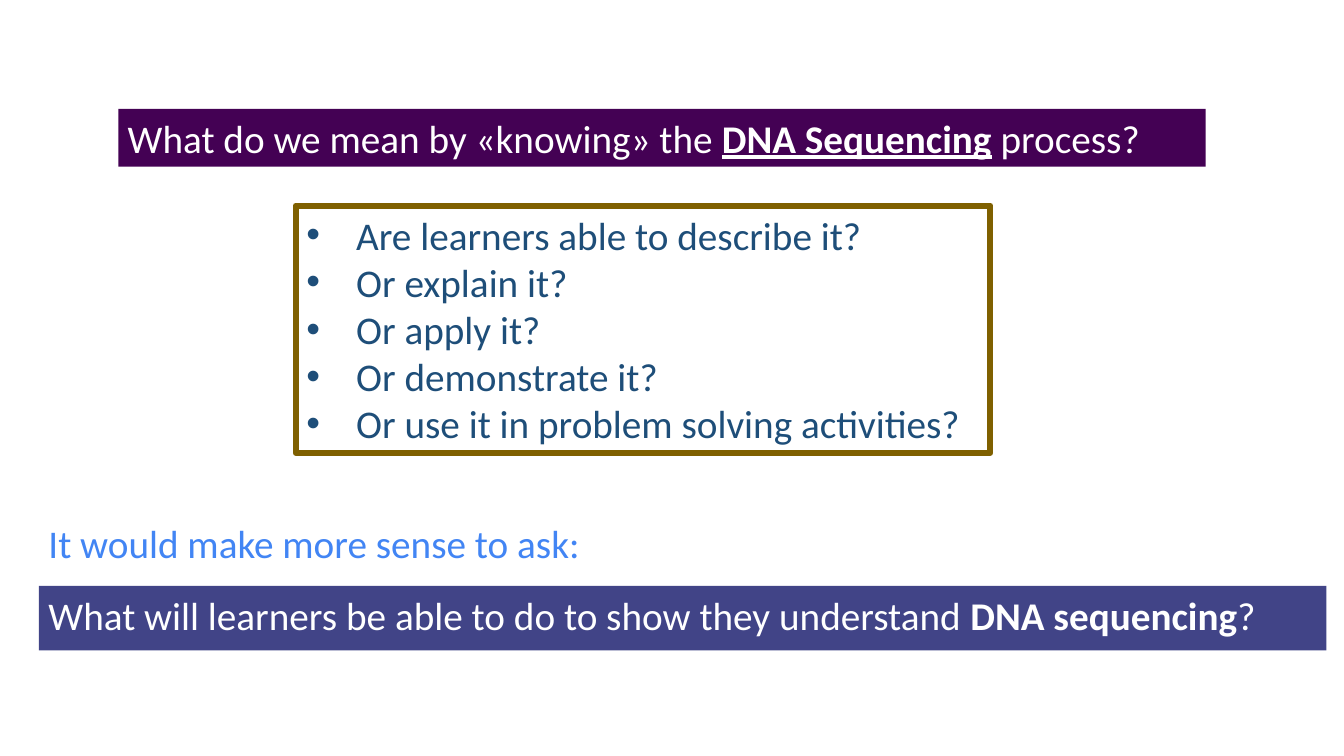
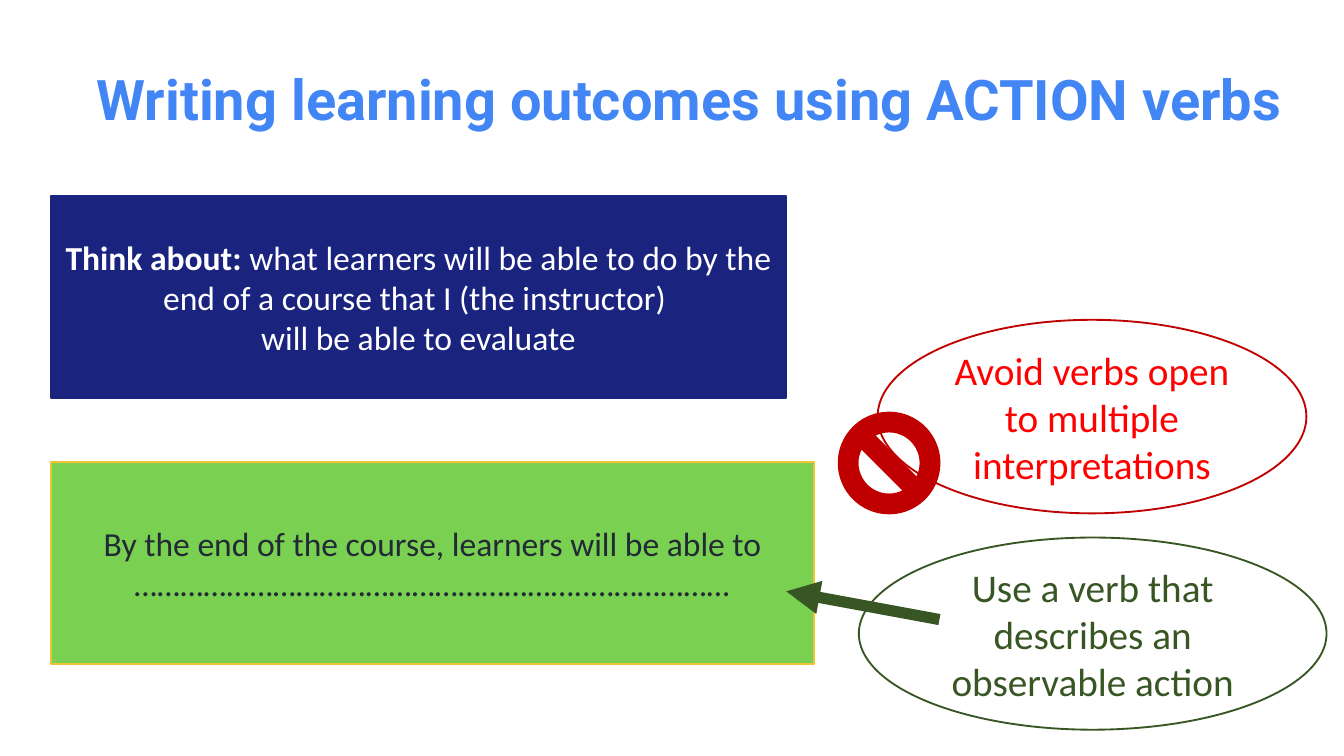
"""Build two slides on writing learning outcomes with action verbs."""
from dataclasses import dataclass

from lxml import etree
from pptx import Presentation
from pptx.dml.color import RGBColor
from pptx.enum.shapes import MSO_CONNECTOR, MSO_SHAPE
from pptx.enum.text import MSO_ANCHOR, PP_ALIGN
from pptx.oxml.ns import qn
from pptx.util import Inches, Pt

RECT = MSO_SHAPE.RECTANGLE
OVAL = MSO_SHAPE.OVAL
NO_SIGN = MSO_SHAPE.NO_SYMBOL
STRAIGHT = MSO_CONNECTOR.STRAIGHT
TOP, MIDDLE = MSO_ANCHOR.TOP, MSO_ANCHOR.MIDDLE
LEFT, CENTER = PP_ALIGN.LEFT, PP_ALIGN.CENTER

COLORS = {
    "white": "FFFFFF", "sky": "4285F4", "purple": "440154", "indigo": "414487",
    "steel": "1E4E79", "brown": "7F6000", "navy": "1A237E", "lime": "7AD151",
    "gold": "F1C232", "ink": "222A35", "forest": "385623", "crimson": "C00000",
    "red": "FF0000",
}
WIDTH = Inches(10)
HEIGHT = WIDTH * 9 // 16
INSETS = (0.07, 0.04)


@dataclass(frozen=True)
class Span:
    text: str
    bold: bool = False
    italic: bool = False
    underline: bool = False


@dataclass(frozen=True)
class Panel:
    box: tuple[float, float, float, float]
    paragraphs: tuple[tuple[Span, ...], ...] = ()
    color: str = "white"
    size: float = 21
    font: str = "Calibri"
    shape: MSO_SHAPE | None = RECT
    fill: str | None = None
    line: str | None = None
    line_width: float = 1
    align: PP_ALIGN = LEFT
    anchor: MSO_ANCHOR = TOP
    insets: tuple[float, float] = INSETS
    spacing: float = 1.0
    bullets: bool = False
    adjustment: float | None = None


QUESTIONS = ("Are learners able to describe it?", "Or explain it?", "Or apply it?",
             "Or demonstrate it?", "Or use it in problem solving activities?")

KNOWING = (
    Panel((2.2, 1.53, 5.17, 1.84), tuple((Span(q),) for q in QUESTIONS),
          color="steel", line="brown", line_width=3.25, bullets=True),
    Panel((0.29, 4.36, 9.58, 0.48),
          ((Span("What will learners be able to do to show they understand "),
            Span("DNA sequencing", bold=True), Span("?")),), fill="indigo"),
    Panel((0.29, 3.82, 4.15, 0.43), ((Span("It would make more sense to ask:"),),),
          color="sky", shape=None),
    Panel((0.88, 0.81, 8.09, 0.43),
          ((Span("What do we mean by «knowing» the "),
            Span("DNA Sequencing", bold=True, underline=True),
            Span(" ", bold=True), Span("process?")),), fill="purple"),
)

OUTCOMES = (
    Panel((0.67, 0.54, 8.92, 0.41),
          ((Span("Writing learning outcomes using ACTION verbs", bold=True),),),
          color="sky", size=30, font="Roboto", shape=None, align=CENTER,
          insets=(0, 0), spacing=0.9),
    Panel((0.38, 1.46, 5.47, 1.5),
          ((Span("Think about: ", bold=True),
            Span("what learners will be able to do by the end of a course "
                 "that I (the instructor) ")),
           (Span("will be able to evaluate"),)),
          size=18, fill="navy", line="navy", align=CENTER, anchor=MIDDLE),
    Panel((0.38, 3.44, 5.68, 1.5),
          ((Span("By the end of the course, learners will be able to "),
            Span("…………………………………………………..………………", italic=True)),),
          color="ink", size=18, fill="lime", line="gold", align=CENTER, anchor=MIDDLE),
    Panel((6.39, 4, 3.48, 1.43),
          ((Span("Use a verb that describes an observable action"),),),
          color="forest", shape=OVAL, fill="white", line="forest",
          align=CENTER, anchor=MIDDLE),
)

WARNING = (
    Panel((6.53, 2.38, 3.19, 1.44),
          ((Span("Avoid verbs open to multiple interpretations"),),),
          color="red", shape=OVAL, line="crimson", align=CENTER, anchor=MIDDLE),
    Panel((6.24, 3.07, 0.75, 0.75), shape=NO_SIGN, fill="crimson", line="crimson",
          adjustment=0.188),
)


def rgb(name: str) -> RGBColor:
    """Return the named palette colour."""
    return RGBColor.from_string(COLORS[name])


def add_bullet(p) -> None:
    """Give a paragraph a round bullet and a hanging indent."""
    pPr = p._p.get_or_add_pPr()
    pPr.set("marL", str(Inches(0.38)))
    pPr.set("indent", str(Inches(-0.37)))
    etree.SubElement(pPr, qn("a:buFont")).set("typeface", "Arial")
    etree.SubElement(pPr, qn("a:buChar")).set("char", "•")


def style_shape(sp, panel: Panel) -> None:
    """Set the fill, outline and adjustment of a preset shape."""
    sp.shadow.inherit = False
    if panel.fill:
        sp.fill.solid()
        sp.fill.fore_color.rgb = rgb(panel.fill)
    else:
        sp.fill.background()
    if panel.line:
        sp.line.color.rgb = rgb(panel.line)
        sp.line.width = Pt(panel.line_width)
    else:
        sp.line.fill.background()
    if panel.adjustment is not None:
        sp.adjustments[0] = panel.adjustment


def write_text(tf, panel: Panel) -> None:
    """Write the paragraphs of a panel run by run."""
    tf.word_wrap = True
    tf.vertical_anchor = panel.anchor
    tf.margin_left = tf.margin_right = Inches(panel.insets[0])
    tf.margin_top = tf.margin_bottom = Inches(panel.insets[1])
    for i, spans in enumerate(panel.paragraphs):
        p = tf.add_paragraph() if i else tf.paragraphs[0]
        p.alignment = panel.align
        p.line_spacing = panel.spacing
        if panel.bullets:
            add_bullet(p)
        for span in spans:
            r = p.add_run()
            r.text = span.text
            r.font.name = panel.font
            r.font.size = Pt(panel.size)
            r.font.color.rgb = rgb(panel.color)
            r.font.bold = span.bold
            r.font.italic = span.italic
            r.font.underline = span.underline


def add_panel(slide, panel: Panel) -> None:
    """Draw one panel as a text box or a preset shape."""
    box = [Inches(v) for v in panel.box]
    if panel.shape is None:
        sp = slide.shapes.add_textbox(*box)
    else:
        sp = slide.shapes.add_shape(panel.shape, *box)
        style_shape(sp, panel)
    if panel.paragraphs:
        write_text(sp.text_frame, panel)


def add_arrow(slide, start: tuple[float, float], end: tuple[float, float],
              color: str, width: float) -> None:
    """Draw a straight arrow with a triangular head at its end."""
    cn = slide.shapes.add_connector(STRAIGHT, *(Inches(v) for v in start + end))
    cn.line.color.rgb = rgb(color)
    cn.line.width = Pt(width)
    ln = cn._element.spPr.find(qn("a:ln"))
    etree.SubElement(ln, qn("a:tailEnd")).set("type", "triangle")
    etree.SubElement(cn._element.spPr, qn("a:effectLst"))


def add_panels(slide, panels: tuple[Panel, ...]) -> None:
    """Draw panels from back to front."""
    for panel in panels:
        add_panel(slide, panel)


def main() -> None:
    """Build and save the presentation."""
    prs = Presentation()
    prs.slide_width, prs.slide_height = WIDTH, HEIGHT
    blank = prs.slide_layouts[6]
    add_panels(prs.slides.add_slide(blank), KNOWING)
    slide = prs.slides.add_slide(blank)
    add_panels(slide, OUTCOMES)
    add_arrow(slide, (6.99, 4.61), (5.85, 4.4), "forest", 6)
    add_panels(slide, WARNING)
    prs.save("out.pptx")


if __name__ == "__main__":
    main()
